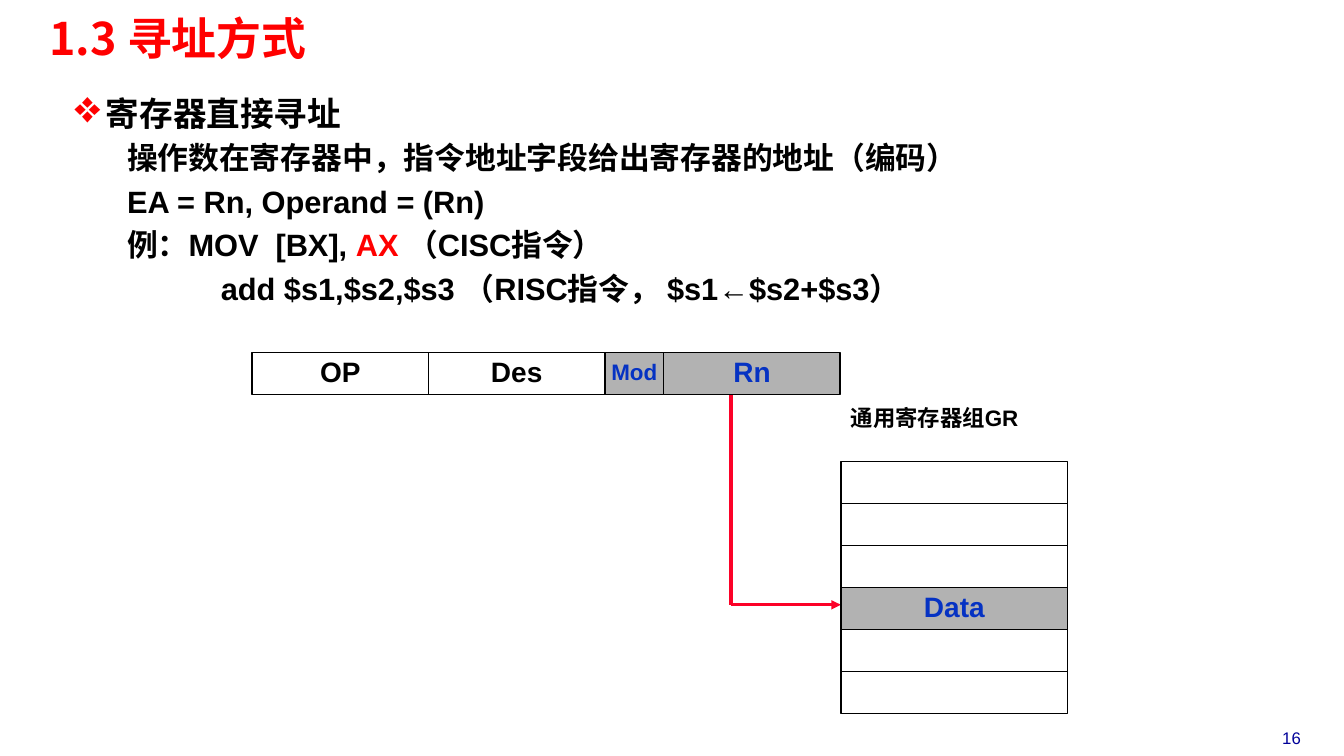
from lxml import etree
from pptx import Presentation
from pptx.dml.color import RGBColor
from pptx.enum.shapes import MSO_CONNECTOR, MSO_SHAPE
from pptx.enum.text import MSO_ANCHOR, PP_ALIGN
from pptx.oxml.ns import qn
from pptx.util import Inches, Pt

RECT = MSO_SHAPE.RECTANGLE
STRAIGHT = MSO_CONNECTOR.STRAIGHT
MIDDLE = MSO_ANCHOR.MIDDLE
LEFT, CENTER = PP_ALIGN.LEFT, PP_ALIGN.CENTER
COLORS = {"black": "000000", "red": "FF0000", "arrow": "FC0128",
          "blue": "0532C3", "navy": "000099", "gray": "B2B2B2"}
LATIN, CJK = "Arial", "Noto Sans CJK SC"


def rgb(name):
    return RGBColor.from_string(COLORS[name])


class SlideBuilder:
    def __init__(self, slide):
        self.slide = slide

    def paragraph(self, p, runs, size, color="black", font=LATIN, bold=True,
                  align=LEFT, line=0.85, before=0, left=0, bullet=None):
        p.alignment = align
        p.line_spacing = line
        pPr = p._p.get_or_add_pPr()
        if before:
            spacing = etree.SubElement(pPr, qn("a:spcBef"))
            etree.SubElement(spacing, qn("a:spcPct"), val=str(before * 1000))
        pPr.set("marL", str(Inches(left)))
        pPr.set("indent", str(-Inches(left) if bullet else 0))
        if bullet:
            tint = etree.SubElement(pPr, qn("a:buClr"))
            etree.SubElement(tint, qn("a:srgbClr"), val=COLORS["red"])
            etree.SubElement(pPr, qn("a:buSzPct"), val="135000")
            etree.SubElement(pPr, qn("a:buChar"), char=bullet)
        for text, run_color in runs:
            r = p.add_run()
            r.text = text
            r.font.name = font
            r.font.size = Pt(size)
            r.font.bold = bold
            r.font.color.rgb = rgb(run_color or color)
            etree.SubElement(r._r.get_or_add_rPr(), qn("a:ea"), typeface=CJK)

    def text(self, x, y, w, h, paragraphs, tight=False):
        s = self.slide.shapes.add_textbox(Inches(x), Inches(y), Inches(w), Inches(h))
        tf = s.text_frame
        tf.word_wrap = True
        if tight:
            tf.margin_left = tf.margin_right = Inches(0.07)
            tf.margin_top = tf.margin_bottom = Inches(0.03)
        for i, style in enumerate(paragraphs):
            p = tf.add_paragraph() if i else tf.paragraphs[0]
            self.paragraph(p, **style)

    def box(self, x, y, w, h, label="", size=20, shaded=False):
        s = self.slide.shapes.add_shape(RECT, Inches(x), Inches(y), Inches(w), Inches(h))
        s.shadow.inherit = False
        s.line.color.rgb = rgb("black")
        s.line.width = Pt(1)
        if shaded:
            s.fill.solid()
            s.fill.fore_color.rgb = rgb("gray")
        else:
            s.fill.background()
        if label:
            tf = s.text_frame
            tf.word_wrap = False
            tf.vertical_anchor = MIDDLE
            self.paragraph(tf.paragraphs[0], [(label, None)], size,
                           "blue" if shaded else "black", align=CENTER, before=40)

    def line(self, x1, y1, x2, y2, arrow=False):
        s = self.slide.shapes.add_connector(
            STRAIGHT, Inches(x1), Inches(y1), Inches(x2), Inches(y2))
        s.line.color.rgb = rgb("arrow")
        s.line.width = Pt(2.25)
        if arrow:
            etree.SubElement(s.line._get_or_add_ln(), qn("a:tailEnd"), type="triangle")
        etree.SubElement(s._element.spPr, qn("a:effectLst"))


def main():
    prs = Presentation()
    prs.slide_width, prs.slide_height = Inches(13.33), Inches(7.5)
    sb = SlideBuilder(prs.slides.add_slide(prs.slide_layouts[6]))

    sb.text(12.34, 7.17, 0.94, 0.3, [
        dict(runs=[("16", None)], size=12, color="navy", bold=False,
             align=CENTER, line=1.0, before=50)])
    sb.text(0.42, 0.15, 7.67, 0.52, [
        dict(runs=[("1.3 寻址方式", None)], size=32, color="red", font=CJK, line=0.87)],
        tight=True)

    details = [
        (0.52, [("操作数在寄存器中，指令地址字段给出寄存器的地址（编码）", None)]),
        (0.52, [("EA = Rn, Operand = (Rn)", None)]),
        (0.52, [("例：MOV  [BX], ", None), ("AX", "red"), (" （CISC指令）", None)]),
        (1.45, [("add $s1,$s2,$s3 （RISC指令， $s1←$s2+$s3）", None)]),
    ]
    heading = dict(runs=[("寄存器直接寻址", None)], size=24, line=0.75, before=65,
                   left=0.31, bullet="❖")
    sb.text(0.67, 0.98, 10.33, 2.21,
            [heading] + [dict(runs=runs, size=22, before=40, left=left)
                         for left, runs in details], tight=True)

    row = 5 / 12
    field_top, x = 3.5, 2.5
    fields = [("OP", 1.75, 20, False), ("Des", 1.75, 20, False),
              ("Mod", 7 / 12, 16, True), ("Rn", 1.75, 20, True)]
    for label, width, size, shaded in fields:
        sb.box(x, field_top, width, row, label, size, shaded)
        x += width

    reg_left, reg_top, pointer_x, pointer_y = 8.34, 4.58, 7.25, 6
    sb.line(pointer_x, field_top + row, pointer_x, pointer_y)
    sb.line(pointer_x, pointer_y, reg_left, pointer_y, arrow=True)

    for i, label in enumerate(["", "", "", "Data", "", ""]):
        sb.box(reg_left, reg_top + i * row, 2.25, row, label, shaded=bool(label))
    sb.text(reg_left, 4, 2.17, 0.33, [
        dict(runs=[("通用寄存器组GR", None)], size=16, before=50)])

    prs.save("out.pptx")


if __name__ == "__main__":
    main()
